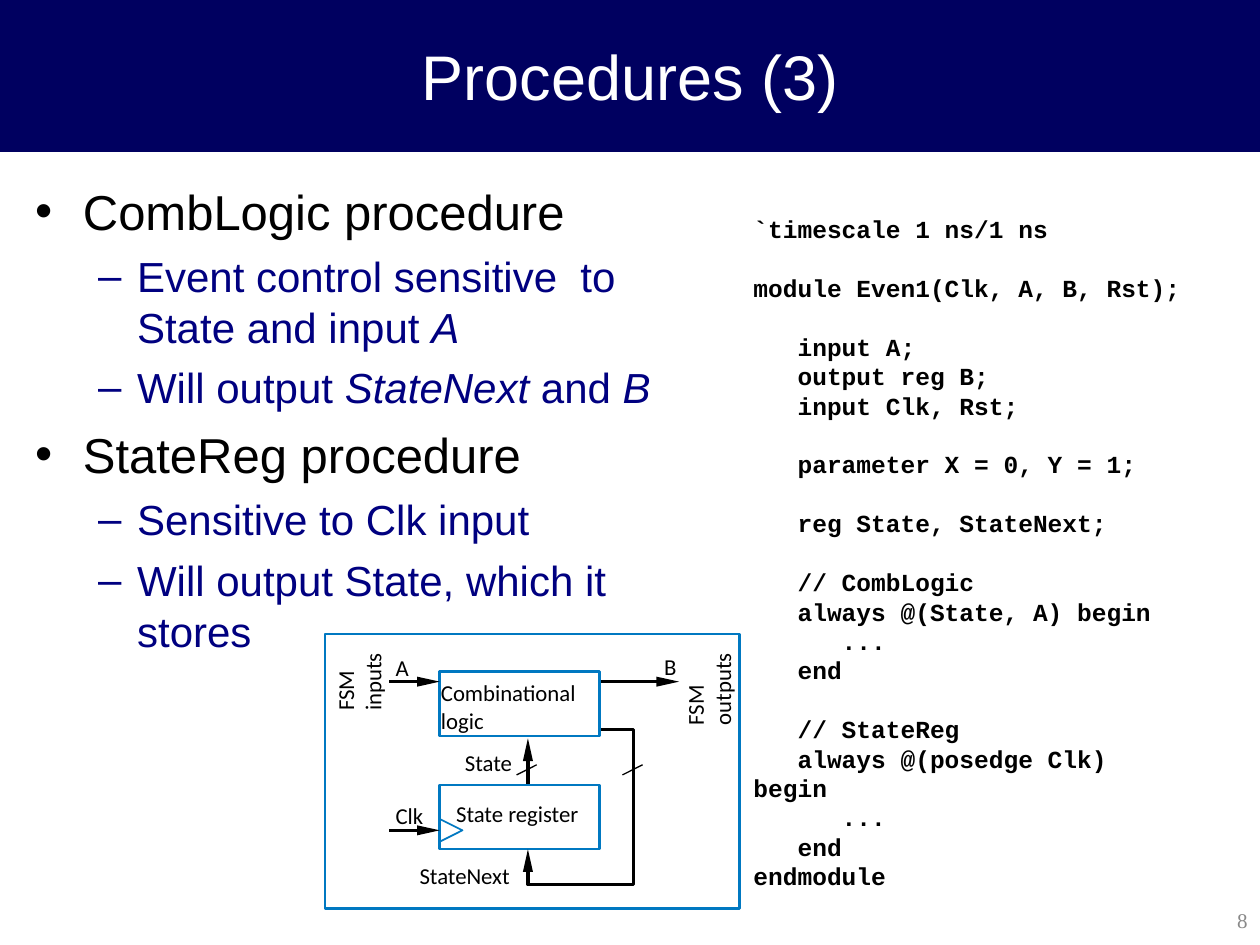
"""Build the Procedures (3) slide with its bullets, state machine diagram and code."""
from lxml.etree import SubElement
from pptx import Presentation
from pptx.dml.color import RGBColor
from pptx.enum.shapes import MSO_CONNECTOR, MSO_SHAPE
from pptx.enum.text import MSO_ANCHOR, PP_ALIGN
from pptx.oxml.ns import qn
from pptx.util import Inches, Pt

NAVY = RGBColor(0x00, 0x00, 0x60)
BLUE = RGBColor(0x00, 0x00, 0x80)
CYAN = RGBColor(0x00, 0x78, 0xC1)
BLACK = RGBColor(0x00, 0x00, 0x00)
WHITE = RGBColor(0xFF, 0xFF, 0xFF)
GRAY = RGBColor(0x89, 0x89, 0x89)

prs = Presentation()
prs.slide_width, prs.slide_height = Inches(10), Inches(7.5)
slide = prs.slides.add_slide(prs.slide_layouts[6])
shapes = slide.shapes


def add_text(text, box, font, size, color, align=PP_ALIGN.LEFT, inset=0, wrap=False):
    textbox = shapes.add_textbox(*map(Inches, box))
    frame = textbox.text_frame
    frame.word_wrap = wrap
    frame.margin_left = frame.margin_right = Inches(inset)
    frame.margin_top = frame.margin_bottom = Inches(inset / 2)
    frame.text = text
    for paragraph in frame.paragraphs:
        paragraph.alignment = align
        for run in paragraph.runs:
            run.font.name, run.font.size = font, Pt(size)
            run.font.color.rgb = color
    return textbox


def add_outline(points, closed):
    corners = [(Inches(x), Inches(y)) for x, y in points]
    builder = shapes.build_freeform(*corners[0])
    builder.add_line_segments(corners[1:], close=closed)
    outline = builder.convert_to_shape()
    outline.shadow.inherit = False
    return outline


banner = shapes.add_shape(MSO_SHAPE.RECTANGLE, 0, 0, Inches(10), Inches(1.2))
banner.shadow.inherit = False
banner.fill.solid()
banner.fill.fore_color.rgb = NAVY
banner.line.color.rgb = NAVY
banner.line.width = Pt(0.75)

title = add_text("Procedures (3)", (0, 0, 10, 1.2), "Arial", 36, WHITE, PP_ALIGN.CENTER, 0.1, True)
title.text_frame.vertical_anchor = MSO_ANCHOR.MIDDLE
page_number = add_text("8", (7.88, 7.1, 2.12, 0.4), "Times New Roman", 12, GRAY, PP_ALIGN.RIGHT, 0.1, True)
page_number.text_frame.vertical_anchor = MSO_ANCHOR.MIDDLE

LEVELS = [("•", 0.38, 0.38, 28, 7, BLACK), ("–", 0.81, 0.31, 24, 6, BLUE)]
points = [
    (0, ["CombLogic procedure"]),
    (1, ["Event control sensitive  to State and input ", "A"]),
    (1, ["Will output ", "StateNext", " and ", "B"]),
    (0, ["StateReg procedure"]),
    (1, ["Sensitive to Clk input"]),
    (1, ["Will output State, which it stores"]),
]
outline_frame = add_text("", (0.18, 1.39, 5.51, 5.72), "Arial", 28, BLACK, inset=0.1, wrap=True).text_frame
for index, (level, parts) in enumerate(points):
    bullet, margin, hanging, size, gap, color = LEVELS[level]
    paragraph = outline_frame.add_paragraph() if index else outline_frame.paragraphs[0]
    paragraph.level = level
    paragraph.line_spacing = Pt(size * 1.2)
    paragraph.space_before = Pt(gap if index else 0)
    properties = paragraph._p.get_or_add_pPr()
    properties.set("marL", str(Inches(margin)))
    properties.set("indent", str(-Inches(hanging)))
    bullet_color = SubElement(properties, qn("a:buClr"))
    SubElement(bullet_color, qn("a:srgbClr")).set("val", str(color))
    SubElement(properties, qn("a:buFont")).set("typeface", "Arial")
    SubElement(properties, qn("a:buChar")).set("char", bullet)
    for position, part in enumerate(parts):
        run = paragraph.add_run()
        run.text = part
        run.font.name, run.font.size = "Arial", Pt(size)
        run.font.italic = position % 2 == 1
        run.font.color.rgb = color

for frame_box in [(2.58, 5.03, 3.29, 2.18), (3.49, 5.33, 1.27, 0.51), (3.49, 6.23, 1.27, 0.51)]:
    block = shapes.add_shape(MSO_SHAPE.RECTANGLE, *map(Inches, frame_box))
    block.shadow.inherit = False
    block.fill.background()
    block.line.color.rgb = CYAN
    block.line.width = Pt(1.39)

wires = [
    (3.09, 5.41, 3.34, 5.41, 1.87),
    (4.77, 5.41, 5.24, 5.41, 1.87),
    (3.09, 6.59, 3.34, 6.59, 1.87),
    (4.19, 6.22, 4.19, 6, 1.87),
    (4.1, 6.15, 4.26, 6.07, 0.75),
    (4.94, 6.15, 5.1, 6.07, 0.75),
]
for *ends, width in wires:
    wire = shapes.add_connector(MSO_CONNECTOR.STRAIGHT, *map(Inches, ends))
    wire.line.color.rgb = BLACK
    wire.line.width = Pt(width)
    SubElement(wire._element.spPr, qn("a:effectLst"))

feedback = [(4.19, 6.88), (4.19, 7.02), (5.03, 7.02), (5.03, 5.79), (4.77, 5.79)]
clock_notch = [(3.49, 6.68), (3.67, 6.59), (3.49, 6.5)]
for route, color, width in [(feedback, BLACK, 1.87), (clock_notch, CYAN, 1)]:
    trace = add_outline(route, False)
    trace.fill.background()
    trace.line.color.rgb = color
    trace.line.width = Pt(width)

HEAD_LENGTH, HEAD_HALF = 0.18, 0.04
arrow_tips = [(3.49, 5.41, 1, 0), (5.39, 5.41, 1, 0), (3.49, 6.59, 1, 0), (4.19, 5.86, 0, -1), (4.19, 6.74, 0, -1)]
for x, y, dx, dy in arrow_tips:
    base_x, base_y = x - dx * HEAD_LENGTH, y - dy * HEAD_LENGTH
    side_x, side_y = dy * HEAD_HALF, dx * HEAD_HALF
    head = add_outline([(x, y), (base_x + side_x, base_y - side_y), (base_x - side_x, base_y + side_y)], True)
    head.fill.solid()
    head.fill.fore_color.rgb = BLACK
    head.line.fill.background()

labels = [
    ("Combinational\nlogic", (3.5, 5.39, 1.3, 0.43), 0),
    ("State register", (3.62, 6.35, 1.14, 0.22), 0),
    ("State", (3.69, 5.94, 0.43, 0.22), 0),
    ("StateNext", (3.33, 6.84, 0.83, 0.22), 0),
    ("A", (3.14, 5.19, 0.12, 0.22), 0),
    ("B", (5.27, 5.18, 0.12, 0.22), 0),
    ("Clk", (3.14, 6.36, 0.26, 0.22), 0),
    ("FSM\ninputs", (2.58, 5.16, 0.53, 0.43), 270),
    ("FSM\noutputs", (5.29, 5.21, 0.66, 0.43), 270),
]
for text, box, rotation in labels:
    add_text(text, box, "Calibri", 13, BLACK).rotation = rotation

CODE_PITCH = Pt(16.8)
code_blocks = [
    "`timescale 1 ns/1 ns",
    "module Even1(Clk, A, B, Rst);",
    "   input A;\n   output reg B;\n   input Clk, Rst;",
    "   parameter X = 0, Y = 1;",
    "   reg State, StateNext;",
    "   // CombLogic\n   always @(State, A) begin\n      ...\n   end",
    "   // StateReg\n   always @(posedge Clk) begin\n      ...\n   end\nendmodule",
]
code = add_text("\n".join(code_blocks), (5.98, 1.7, 3.51, 5.14), "Courier New", 14, BLACK)
block_starts = [sum(len(block.split("\n")) for block in code_blocks[:i]) for i in range(1, len(code_blocks))]
for index, paragraph in enumerate(code.text_frame.paragraphs):
    paragraph.line_spacing = CODE_PITCH
    paragraph.space_before = CODE_PITCH if index in block_starts else Pt(0)
    paragraph.runs[0].font.bold = True

prs.save("out.pptx")
